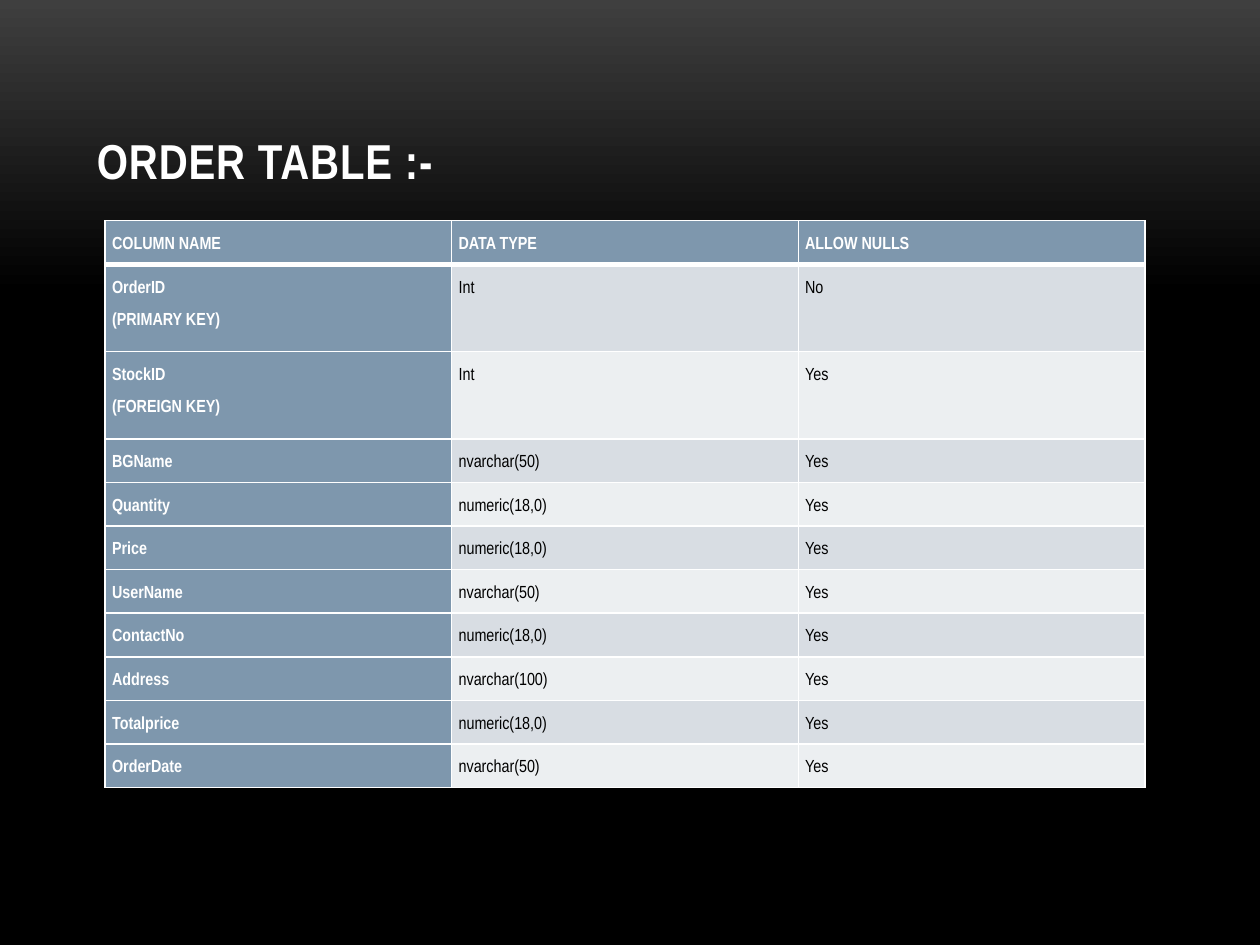
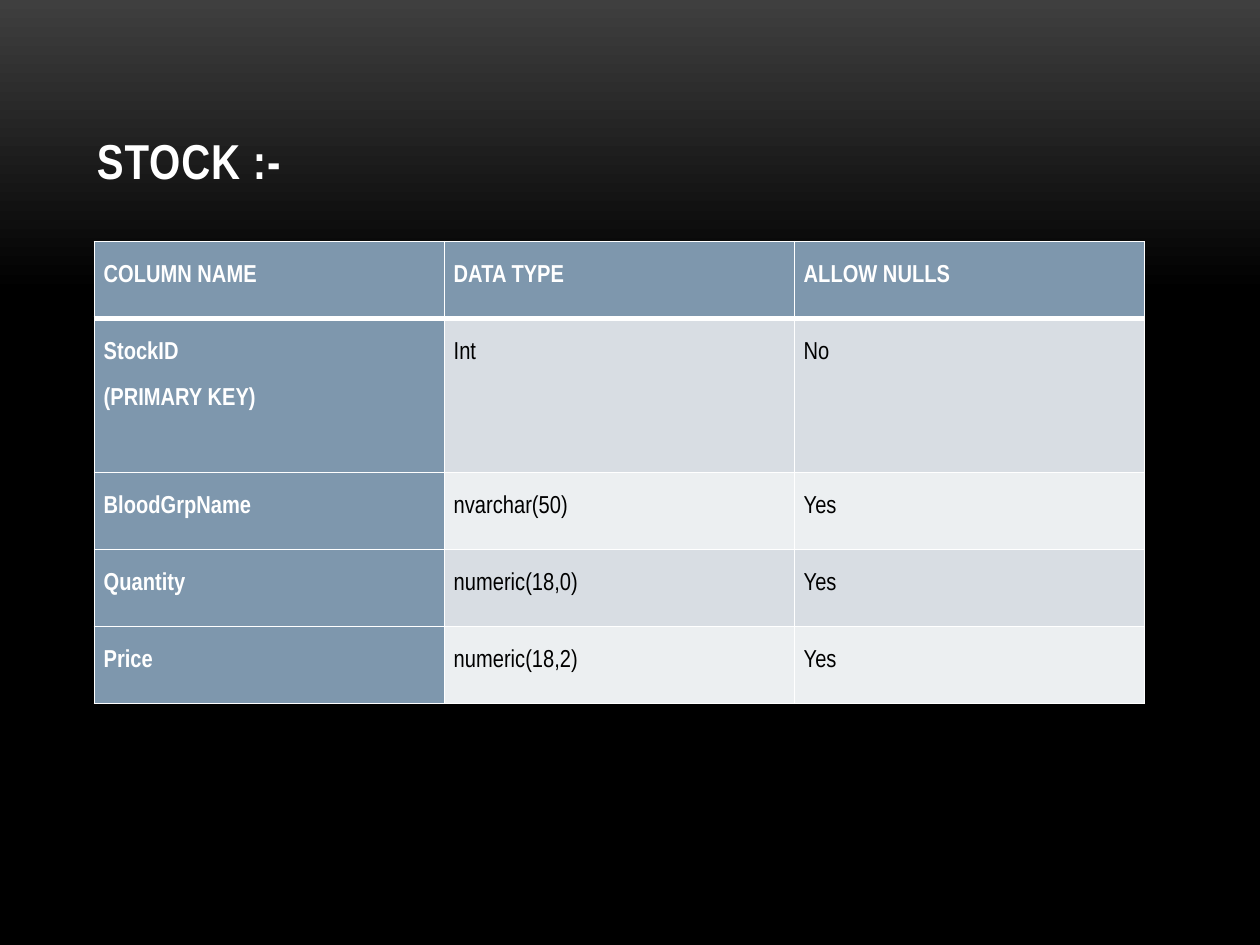
from lxml.etree import SubElement
from pptx import Presentation
from pptx.dml.color import RGBColor
from pptx.enum.text import MSO_ANCHOR, MSO_AUTO_SIZE, PP_ALIGN
from pptx.oxml.ns import qn
from pptx.util import Cm, Pt

WHITE = RGBColor(0xFF, 0xFF, 0xFF)
BLACK = RGBColor(0x00, 0x00, 0x00)
GREY = RGBColor(0x3F, 0x3F, 0x3F)
STEEL = RGBColor(0x7E, 0x97, 0xAD)
BANDS = RGBColor(0xD8, 0xDD, 0xE3), RGBColor(0xEC, 0xEF, 0xF1)
FONT = "Arial Narrow"

HEADS = ("COLUMN NAME", "DATA TYPE", "ALLOW NULLS")
SLIDES = [
    {
        "title": "ORDER TABLE :-",
        "box": (2.12, 4.45, 20.96, 11.43),
        "size": 10,
        "inset": 0.14,
        "rows": [
            ("OrderID\n(PRIMARY KEY)", "Int", "No"),
            ("StockID\n(FOREIGN KEY)", "Int", "Yes"),
            ("BGName", "nvarchar(50)", "Yes"),
            ("Quantity", "numeric(18,0)", "Yes"),
            ("Price", "numeric(18,0)", "Yes"),
            ("UserName", "nvarchar(50)", "Yes"),
            ("ContactNo", "numeric(18,0)", "Yes"),
            ("Address", "nvarchar(100)", "Yes"),
            ("Totalprice", "numeric(18,0)", "Yes"),
            ("OrderDate", "nvarchar(50)", "Yes"),
        ],
    },
    {
        "title": "STOCK :-",
        "box": (1.9, 4.87, 21.17, 9.31),
        "size": 14,
        "inset": 0.19,
        "rows": [
            ("StockID\n(PRIMARY KEY)", "Int", "No"),
            ("BloodGrpName", "nvarchar(50)", "Yes"),
            ("Quantity", "numeric(18,0)", "Yes"),
            ("Price", "numeric(18,2)", "Yes"),
        ],
    },
]


def add_run(para, text, size, color, bold):
    run = para.add_run()
    run.text = text
    font = run.font
    font.name, font.size, font.bold = FONT, Pt(size), bold
    font.color.rgb = color
    return run


def paint_back(master):
    """Fade from grey to black over the top third of every slide."""
    fill = master.background.fill
    fill.gradient()
    fill.gradient_angle = 270
    for stop, color, place in zip(fill.gradient_stops, (GREY, BLACK), (0, 0.31)):
        stop.color.rgb = color
        stop.position = place


def add_title(slide, text):
    title = slide.shapes.title
    title.left, title.top = Cm(1.7), Cm(0.76)
    title.width, title.height = Cm(22.02), Cm(3.18)
    frame = title.text_frame
    frame.auto_size = MSO_AUTO_SIZE.NONE
    frame.vertical_anchor = MSO_ANCHOR.BOTTOM
    para = frame.paragraphs[0]
    para.alignment = PP_ALIGN.LEFT
    run = add_run(para, text, 28, WHITE, True)
    run.font._element.set("spc", "50")


def add_edges(cell, top, base):
    """Draw white borders; top and base are widths in points."""
    props = cell._tc.get_or_add_tcPr()
    for side, width in zip("LRTB", (1, 1, top, base)):
        line = SubElement(props, qn(f"a:ln{side}"), w=str(Pt(width)))
        fill = SubElement(line, qn("a:solidFill"))
        SubElement(fill, qn("a:srgbClr"), val=str(WHITE))


def fill_cell(cell, text, row, col, size, inset):
    head = row == 0 or col == 0
    add_edges(cell, 3 if row == 1 else 1, 3 if row == 0 else 1)
    cell.fill.solid()
    cell.fill.fore_color.rgb = STEEL if head else BANDS[(row - 1) % 2]
    cell.margin_left = cell.margin_right = Cm(inset)
    cell.margin_top = cell.margin_bottom = 0
    frame = cell.text_frame
    for i, line in enumerate(text.split("\n")):
        para = frame.add_paragraph() if i else frame.paragraphs[0]
        para.alignment = PP_ALIGN.JUSTIFY
        para.line_spacing = 2.0
        add_run(para, line, size, WHITE if head else BLACK, head)


def add_grid(slide, data):
    rows = [HEADS] + data["rows"]
    left, top, width, height = map(Cm, data["box"])
    grid = slide.shapes.add_table(
        len(rows), len(HEADS), left, top, width, height).table
    lines = [row[0].count("\n") + 1 for row in rows]
    for r, row in enumerate(rows):
        grid.rows[r].height = height * lines[r] // sum(lines)
        for c, text in enumerate(row):
            fill_cell(grid.cell(r, c), text, r, c, data["size"], data["inset"])


def main():
    deck = Presentation()
    deck.slide_width, deck.slide_height = Cm(25.4), Cm(19.05)
    paint_back(deck.slide_master)
    for data in SLIDES:
        slide = deck.slides.add_slide(deck.slide_layouts[5])
        add_title(slide, data["title"])
        add_grid(slide, data)
    deck.save("out.pptx")


if __name__ == "__main__":
    main()
